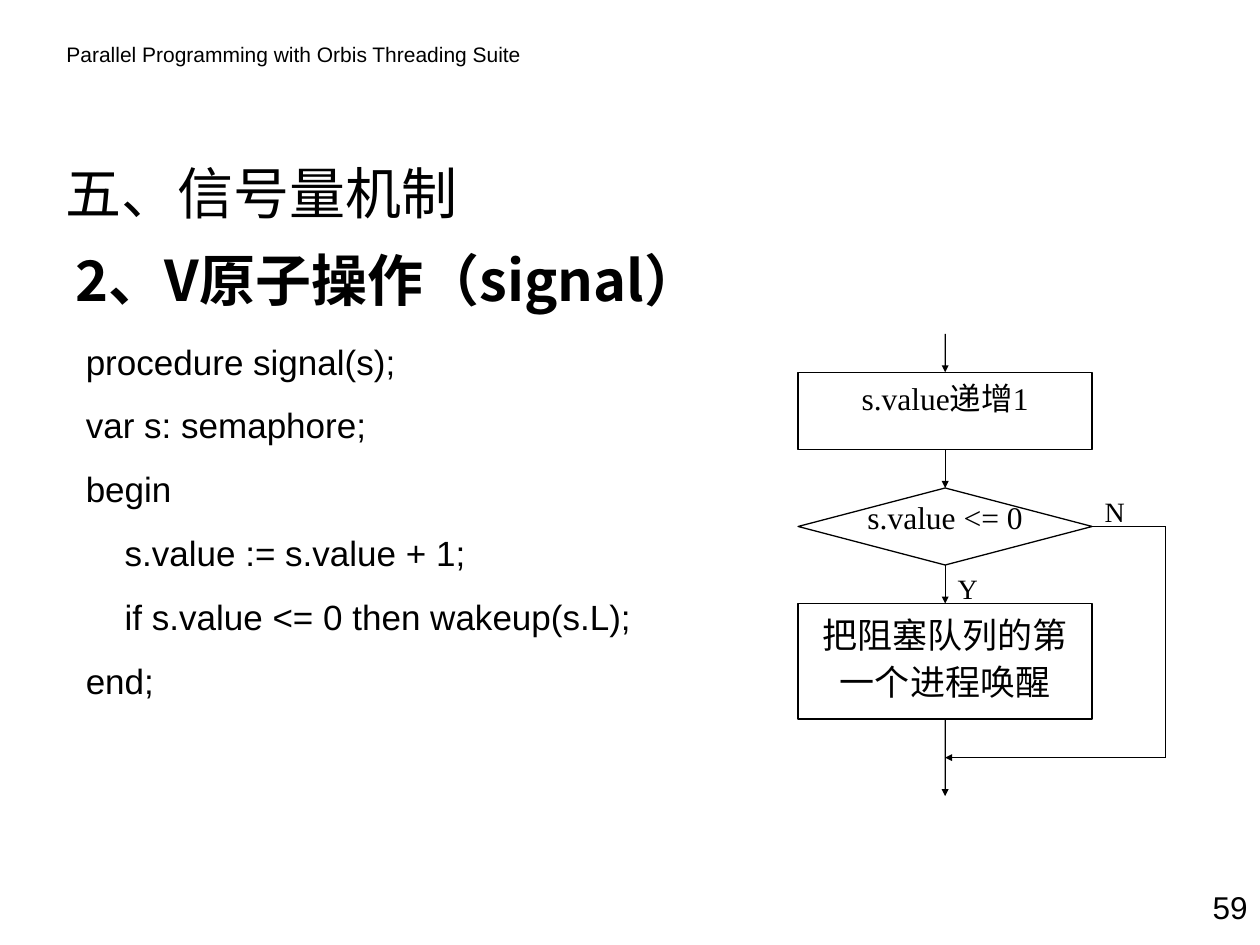
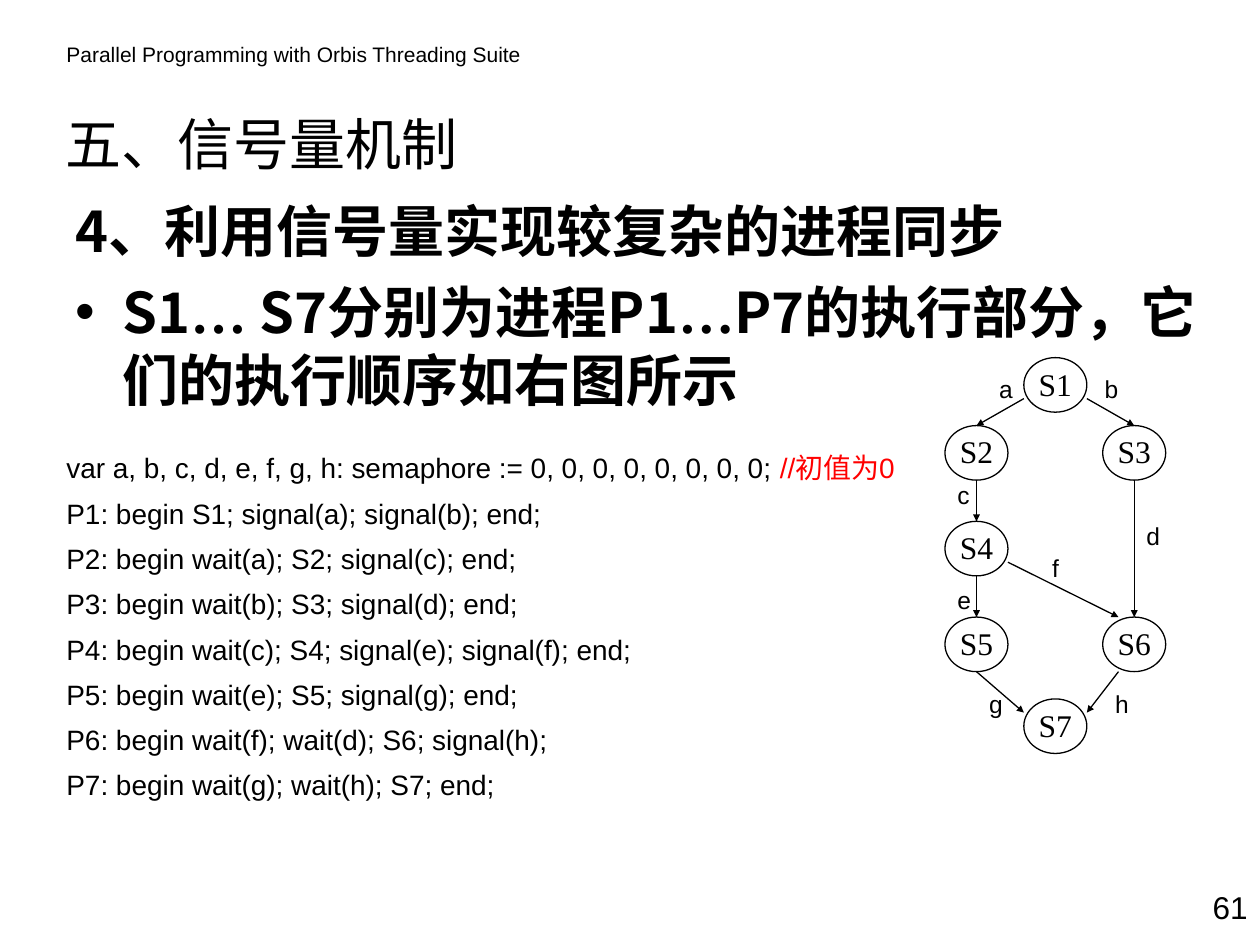
from lxml import etree
from pptx import Presentation
from pptx.dml.color import RGBColor
from pptx.enum.shapes import MSO_CONNECTOR as CXN, MSO_SHAPE as SHAPE
from pptx.enum.text import MSO_ANCHOR as ANCHOR, PP_ALIGN as ALIGN
from pptx.oxml.ns import qn
from pptx.util import Cm, Pt

BLACK = RGBColor(0x00, 0x00, 0x00)
WHITE = RGBColor(0xFF, 0xFF, 0xFF)
RED = RGBColor(0xFF, 0x00, 0x00)
SANS, SERIF, CJK = "Arial", "Times New Roman", "Noto Sans CJK SC"

COURSE = "Parallel Programming with Orbis Threading Suite"
SECTION = "五、信号量机制"
HANGING = 0.95


# Text
def write(tf, paragraphs, font, size, align=ALIGN.LEFT, before=0, spacing=None,
          bold=False, anchor=ANCHOR.TOP):
    """Fill a frame; a paragraph is a string or a list of (text, font, colour)."""
    tf.word_wrap = True
    tf.vertical_anchor = anchor
    for i, runs in enumerate(paragraphs):
        p = tf.add_paragraph() if i else tf.paragraphs[0]
        p.alignment = align
        p.space_before = Pt(before if i else 0)
        if spacing:
            p.line_spacing = spacing
        if isinstance(runs, str):
            runs = [(runs, font, BLACK)]
        for text, face, color in runs:
            r = p.add_run()
            r.text = text
            r.font.name, r.font.size, r.font.bold = face, Pt(size), bold
            r.font.color.rgb = color
            ea = etree.SubElement(r.font._element, qn("a:ea"))
            ea.set("typeface", CJK)


def add_text(s, box, paragraphs, font, size, **style):
    tb = s.shapes.add_textbox(*map(Cm, box))
    write(tb.text_frame, paragraphs, font, size, **style)
    return tb


def hang(p, bullet=None):
    pPr = p._p.get_or_add_pPr()
    pPr.set("marL", str(Cm(HANGING)))
    pPr.set("indent", str(-Cm(HANGING)))
    if bullet:
        etree.SubElement(pPr, qn("a:buFont")).set("typeface", SANS)
        etree.SubElement(pPr, qn("a:buChar")).set("char", bullet)


# Shapes and lines
def add_outline(s, kind, box, fill=WHITE):
    sp = s.shapes.add_shape(kind, *map(Cm, box))
    sp.shadow.inherit = False
    if fill is None:
        sp.fill.background()
    else:
        sp.fill.solid()
        sp.fill.fore_color.rgb = fill
    sp.line.color.rgb = BLACK
    sp.line.width = Pt(0.75)
    return sp


def add_line(s, start, end, arrow=True, begin_at=None, end_at=None):
    """Draw a line; begin_at and end_at are (shape, side) joints."""
    line = s.shapes.add_connector(CXN.STRAIGHT, *map(Cm, (*start, *end)))
    if begin_at:
        line.begin_connect(*begin_at)
    if end_at:
        line.end_connect(*end_at)
    line.line.color.rgb = BLACK
    line.line.width = Pt(0.75)
    if arrow:
        tail = etree.SubElement(line._element.spPr.find(qn("a:ln")),
                                qn("a:tailEnd"))
        for key, value in (("type", "triangle"), ("w", "sm"), ("len", "sm")):
            tail.set(key, value)
    etree.SubElement(line._element.spPr, qn("a:effectLst"))


# Shared frame: course line, section title, body and page number
def add_frame(prs, page, title_top, body, body_box):
    s = prs.slides.add_slide(prs.slide_layouts[6])
    add_text(s, (1.09, 0.72, 10.41, 0.76), [COURSE], SANS, 12)
    add_text(s, (1.07, title_top, 14.4, 1.9), [SECTION], CJK, 32,
             anchor=ANCHOR.MIDDLE)
    tb = add_text(s, body_box, body, CJK, 32, before=8, bold=True)
    for i, p in enumerate(tb.text_frame.paragraphs):
        hang(p, "•" if i else None)
    add_text(s, (23.7, 17.78, 1.7, 1.02), [str(page)], SANS, 18,
             align=ALIGN.RIGHT)
    return s


# Flowchart of signal: 5 columns by 12 rows
def add_flowchart(s, left, top, width, height):
    col, row = width / 5, height / 12

    def at(x, y):
        return left + x * col, top + y * row

    def area(y, rows, x=0, cols=4):
        return *at(x, y), cols * col, rows * row

    centred = {"align": ALIGN.CENTER}
    increment = add_outline(s, SHAPE.RECTANGLE, area(1, 2))
    write(increment.text_frame, ["s.value递增1"], SERIF, 18, **centred)
    add_text(s, area(4, 2), ["s.value <= 0"], SERIF, 18, spacing=1.1, **centred)
    test = add_outline(s, SHAPE.FLOWCHART_DECISION, area(4, 2), fill=None)
    wake = add_outline(s, SHAPE.RECTANGLE, area(7, 3))
    write(wake.text_frame, ["把阻塞队列的第一个进程唤醒"], SERIF, 20,
          spacing=1.1, **centred)

    # Main path
    add_line(s, at(2, 0), at(2, 1), end_at=(increment, 0))
    add_line(s, at(2, 3), at(2, 4), begin_at=(increment, 2), end_at=(test, 0))
    add_line(s, at(2, 6), at(2, 7), begin_at=(test, 2), end_at=(wake, 0))
    add_line(s, at(2, 10), at(2, 12), begin_at=(wake, 2))
    # Bypass
    add_line(s, at(4, 5), at(5, 5), arrow=False, begin_at=(test, 3))
    add_line(s, at(5, 5), at(5, 11), arrow=False)
    add_line(s, at(5, 11), at(2, 11))
    # Branch labels
    for text, x, y in (("N", 4, 4), ("Y", 2, 6)):
        add_text(s, area(y, 1.5, x, 1), [text], SERIF, 16)


# Precedence graph of S1 to S7
def add_graph(s, left, top):
    node_w, node_h, step = 1.27, 1.1, 1.59
    nodes = {"S1": (1, 0), "S2": (0, 1.37), "S3": (2, 1.37), "S4": (0, 3.3),
             "S5": (0, 5.23), "S6": (2, 5.23), "S7": (1, 6.88)}
    # Each end is a node and the share of its width and height
    edges = [("S1", 0, 0.75, "S2", 0.5, 0), ("S1", 1, 0.75, "S3", 0.5, 0),
             ("S2", 0.5, 1, "S4", 0.5, 0), ("S4", 0.5, 1, "S5", 0.5, 0),
             ("S3", 0.5, 1, "S6", 0.5, 0), ("S4", 1, 0.75, "S6", 0.25, 0),
             ("S5", 0.5, 1, "S7", 0, 0.25), ("S6", 0.25, 1, "S7", 1, 0.25)]
    labels = {"a": (0.84, 0.2), "b": (2.97, 0.2), "c": (0, 2.34),
              "d": (3.81, 3.17), "e": (0, 4.45), "f": (1.91, 3.81),
              "g": (0.64, 6.55), "h": (3.18, 6.55)}

    def at(name, x=0, y=0):
        col, offset = nodes[name]
        return left + col * step + x * node_w, top + offset + y * node_h

    for name in nodes:
        sp = add_outline(s, SHAPE.OVAL, (*at(name), node_w, node_h))
        tf = sp.text_frame
        tf.margin_left = tf.margin_right = tf.margin_top = 0
        tf.margin_bottom = Cm(0.06)
        write(tf, [name], SERIF, 18, align=ALIGN.CENTER, anchor=ANCHOR.MIDDLE)
    for source, x1, y1, target, x2, y2 in edges:
        add_line(s, at(source, x1, y1), at(target, x2, y2))
    for text, (x, y) in labels.items():
        add_text(s, (left + x, top + y, 0.64, 0.86), [text], SANS, 14)


# Slides
def add_signal_slide(prs):
    s = add_frame(prs, 59, 2.92, ["2、V原子操作（signal）"],
                  (1.27, 4.83, 24.13, 2.74))
    code = ["procedure signal(s);", "var s: semaphore;", "begin",
            "    s.value := s.value + 1;",
            "    if s.value <= 0 then wakeup(s.L);", "end;"]
    add_text(s, (1.48, 6.73, 11.86, 7.54), code, SANS, 20, before=12.5)
    add_flowchart(s, 16.09, 6.73, 7.41, 9.32)


def add_sync_slide(prs):
    order = [("S1", CJK, BLACK), ("…", SERIF, BLACK),
             (" S7分别为进程P1", CJK, BLACK), ("…", SERIF, BLACK),
             ("P7的执行部分，它们的执行顺序如右图所示", CJK, BLACK)]
    s = add_frame(prs, 61, 1.93, ["4、利用信号量实现较复杂的进程同步", order],
                  (1.27, 3.84, 23.5, 4.65))
    code = [[("var a, b, c, d, e, f, g, h: semaphore := 0, 0, 0, 0, 0, 0, 0, 0; ",
              SANS, BLACK), ("//初值为0", SANS, RED)],
            "P1: begin S1; signal(a); signal(b); end;",
            "P2: begin wait(a); S2; signal(c); end;",
            "P3: begin wait(b); S3; signal(d); end;",
            "P4: begin wait(c); S4; signal(e); signal(f); end;",
            "P5: begin wait(e); S5; signal(g); end;",
            "P6: begin wait(f); wait(d); S6; signal(h);",
            "P7: begin wait(g); wait(h); S7; end;"]
    add_text(s, (1.09, 8.73, 18.42, 7.57), code, SANS, 16, spacing=1.35)
    add_graph(s, 19.05, 7.21)


def main():
    prs = Presentation()
    prs.slide_width, prs.slide_height = Cm(25.4), Cm(19.05)
    add_signal_slide(prs)
    add_sync_slide(prs)
    prs.save("out.pptx")


if __name__ == "__main__":
    main()
